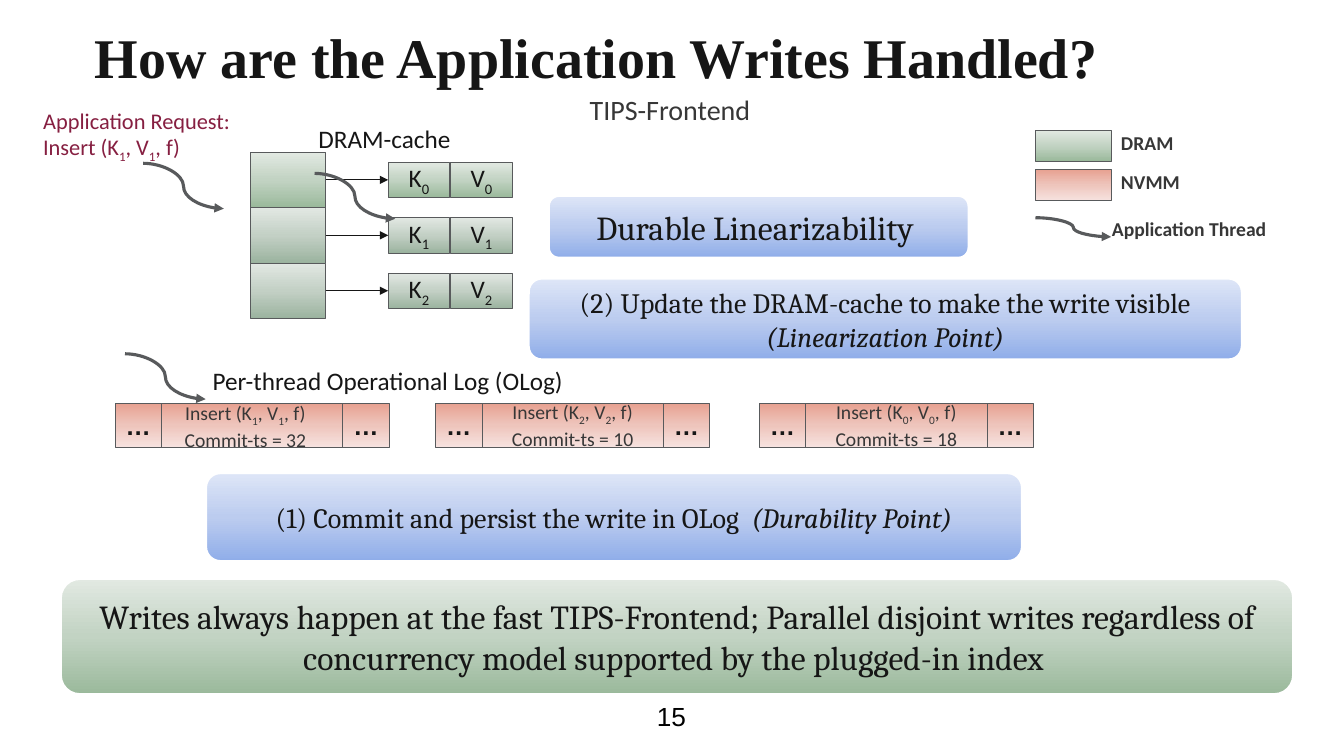
from dataclasses import dataclass

from lxml.etree import SubElement
from pptx import Presentation
from pptx.dml.color import RGBColor
from pptx.enum.shapes import MSO_CONNECTOR, MSO_SHAPE
from pptx.enum.text import MSO_ANCHOR, PP_ALIGN
from pptx.oxml.ns import qn
from pptx.util import Pt

PX = 9144  # 100 px to the inch


@dataclass(frozen=True)
class Style:
    size: float
    font: str = "Calibri"
    color: str = "161616"
    bold: bool = False


class Theme:
    # Gradients: angle, then the colours at 0, 50 and 100 percent
    dram = (270, "9AB99B", "C2D3C3", "E2E9E2")
    dram_muted = (270, "9BB39F", "C3D0C5", "E2E8E3")
    nvmm = (90, "E7A090", "EEC5BC", "F6E2DF")
    blue = (270, "8FADE9", "BCCCEF", "DEE6F7")
    white = "FFFFFF"
    ink = "161616"
    border = "585A5C"
    title = Style(40, "Times New Roman", bold=True)
    number = Style(18.7, "Arial", "000000")
    heading = Style(20, color="373737")
    label = Style(18)
    request = Style(16, color="861F41")
    entry = Style(14, color="373737")
    legend = Style(14, color="373737", bold=True)
    dots = Style(18, "Arial", bold=True)
    step = Style(20, "Cambria")
    claim = Style(24, "Cambria")


def rgb(value):
    return RGBColor.from_string(value)


def write(tf, text, style, align=PP_ALIGN.LEFT, italic=""):
    """Fill a frame; the character after each underscore is a subscript."""
    tf.word_wrap = True
    for i, line in enumerate(text.split("\n")):
        p = tf.paragraphs[0] if i == 0 else tf.add_paragraph()
        p.alignment = align
        p.font.size, p.font.bold = Pt(style.size), style.bold
        p.font.name, p.font.color.rgb = style.font, rgb(style.color)
        first, *rest = line.split("_")
        p.add_run().text = first
        for piece in rest:
            r = p.add_run()
            r.text = piece[0]
            r.font._element.set("baseline", "-25000")
            if piece[1:]:
                p.add_run().text = piece[1:]
    if italic:
        r = p.add_run()
        r.text = italic
        r.font.italic = True


def add_label(s, x, y, w, h, text, style, align=PP_ALIGN.LEFT,
              anchor=MSO_ANCHOR.TOP, inset=None):
    sp = s.shapes.add_textbox(x * PX, y * PX, w * PX, h * PX)
    tf = sp.text_frame
    tf.vertical_anchor = anchor
    if inset is not None:
        tf.margin_left = tf.margin_right = inset * PX
        tf.margin_top = tf.margin_bottom = inset * PX
    write(tf, text, style, align)
    return sp


def add_block(s, x, y, w, h, gradient, text="", style=None, italic="",
              kind=MSO_SHAPE.RECTANGLE, line=Theme.border, weight=0.5):
    sp = s.shapes.add_shape(kind, x * PX, y * PX, w * PX, h * PX)
    sp.shadow.inherit = False
    sp.line.color.rgb, sp.line.width = rgb(line), Pt(weight)
    angle, *colors = gradient
    sp.fill.gradient()
    sp.fill.gradient_angle = 360 - angle  # public angles run counter-clockwise
    stops = sp._element.spPr.find(".//" + qn("a:gsLst"))
    for stop in list(stops):
        stops.remove(stop)
    for i, color in enumerate(colors):
        stop = SubElement(stops, qn("a:gs"), pos=str(i * 50000))
        SubElement(stop, qn("a:srgbClr"), val=color)
    if text:
        sp.text_frame.vertical_anchor = MSO_ANCHOR.MIDDLE
        write(sp.text_frame, text, style, PP_ALIGN.CENTER, italic)
    return sp


def add_callout(s, x, y, w, h, gradient, text, style, italic=""):
    add_block(s, x, y, w, h, gradient, text, style, italic,
              MSO_SHAPE.ROUNDED_RECTANGLE, Theme.white, 2)


def add_arrow(s, kind, x, y, w, h, color, weight):
    cx = s.shapes.add_connector(kind, x * PX, y * PX, (x + w) * PX, (y + h) * PX)
    cx.line.color.rgb, cx.line.width = rgb(color), Pt(weight)
    SubElement(cx.line._get_or_add_ln(), qn("a:tailEnd"), type="triangle")
    SubElement(cx._element.spPr, qn("a:effectLst"))
    return cx


def add_thread(s, x, y, w=80, h=45):
    add_arrow(s, MSO_CONNECTOR.CURVE, x, y, w, h, Theme.border, 2.25)


def add_cache_row(s, row):
    """One bucket pointing to its key and value."""
    y = 151 + 55 * row
    fill = Theme.dram_muted if row else Theme.dram
    bucket = add_block(s, 248, y, 75, 55, fill)
    key, _ = [add_block(s, 385 + 62 * i, y + 10, 61, 35, fill, f"{name}_{row}", Theme.label)
              for i, name in enumerate("KV")]
    cx = add_arrow(s, MSO_CONNECTOR.STRAIGHT, 323, y + 27, 62, 0, Theme.ink, 0.75)
    cx.begin_connect(bucket, 3)
    cx.end_connect(key, 1)


def add_log(s, x, entry=""):
    y, h, end, middle = 400, 44, 46, 180
    add_block(s, x, y, end, h, Theme.nvmm, "…", Theme.dots)
    add_block(s, x + end, y, middle, h, Theme.nvmm, entry, Theme.entry)
    add_block(s, x + end + middle, y, end, h, Theme.nvmm, "…", Theme.dots)


def add_legend(s):
    for y, name, fill in ((129, "DRAM", Theme.dram), (168, "NVMM", Theme.nvmm)):
        add_block(s, 1027, y, 75, 31, fill)
        add_label(s, 1102, y - 4, 100, 34, name, Theme.legend)
    add_thread(s, 1027, 216, 75, 19)
    add_label(s, 1093, 210, 230, 34, "Application Thread", Theme.legend)


def main():
    prs = Presentation()
    prs.slide_width, prs.slide_height = 1333 * PX, 750 * PX
    s = prs.slides.add_slide(prs.slide_layouts[6])

    add_label(s, 81, 22, 1093, 80, "How are the Application Writes Handled?",
              Theme.title, anchor=MSO_ANCHOR.BOTTOM, inset=13)
    add_label(s, 586, 670, 160, 80, "15", Theme.number, PP_ALIGN.CENTER,
              MSO_ANCHOR.MIDDLE, 13)
    add_label(s, 575, 87, 357, 44, "TIPS-Frontend", Theme.heading)
    add_label(s, 33, 101, 230, 64, "Application Request: Insert (K_1, V_1, f)",
              Theme.request)

    for row in range(3):
        add_cache_row(s, row)
    add_label(s, 306, 117, 219, 40, "DRAM-cache", Theme.label)

    add_log(s, 114)
    add_log(s, 432, "Insert (K_2, V_2, f)\nCommit-ts = 10")
    add_log(s, 753, "Insert (K_0, V_0, f)\nCommit-ts = 18")
    add_label(s, 160, 393, 167, 57, "Insert (K_1, V_1, f)\nCommit-ts = 32",
              Theme.entry, PP_ALIGN.CENTER)
    add_label(s, 201, 358, 438, 40, "Per-thread Operational Log (OLog)", Theme.label)

    add_legend(s)
    for x, y in ((142, 162), (312, 172), (124, 351)):
        add_thread(s, x, y)

    add_callout(s, 544, 194, 417, 62, Theme.blue, "Durable Linearizability ", Theme.claim)
    add_callout(s, 524, 276, 708, 81, Theme.blue,
                "(2) Update the DRAM-cache to make the write visible ",
                Theme.step, "(Linearization Point)")
    add_callout(s, 204, 469, 810, 88, Theme.blue,
                "(1) Commit and persist the write in OLog  ",
                Theme.step, "(Durability Point)")
    add_callout(s, 60, 574, 1223, 115, Theme.dram,
                "Writes always happen at the fast TIPS-Frontend; Parallel disjoint writes "
                "regardless of concurrency model supported by the plugged-in index ",
                Theme.claim)
    prs.save("out.pptx")


if __name__ == "__main__":
    main()
